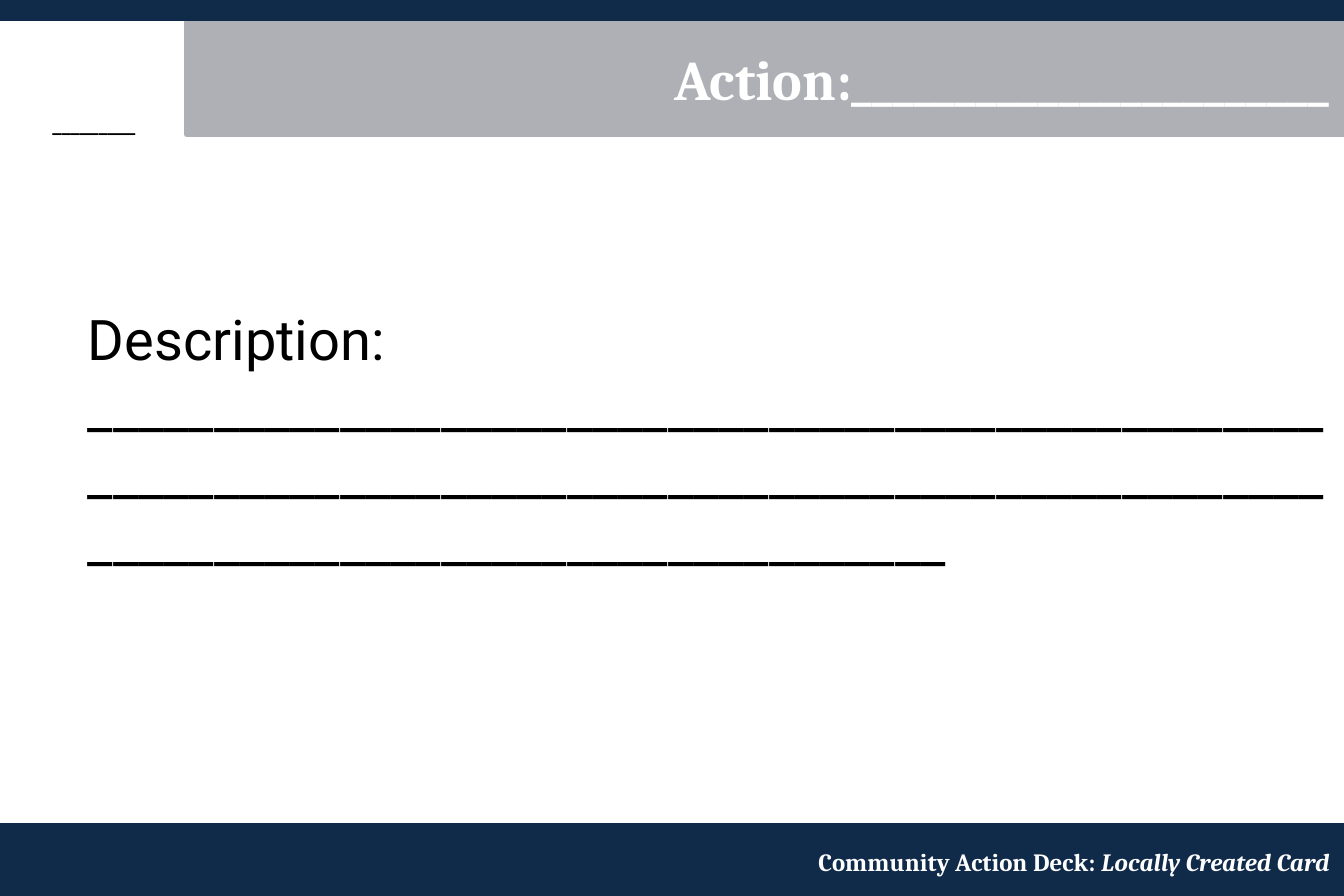
from collections import namedtuple
from dataclasses import dataclass

from lxml.etree import SubElement
from pptx import Presentation
from pptx.dml.color import RGBColor as Rgb
from pptx.enum.shapes import MSO_SHAPE as Preset
from pptx.enum.text import MSO_ANCHOR as Anchor, MSO_AUTO_SIZE as Fit, PP_ALIGN as Align
from pptx.oxml.ns import qn
from pptx.util import Pt

Box = namedtuple("Box", "left top width height")


@dataclass(frozen=True)
class Theme:
    """Colours, fonts and sizes of the card."""

    navy: Rgb = Rgb(0x10, 0x2A, 0x4A)
    grey: Rgb = Rgb(0xAE, 0xB0, 0xB5)
    white: Rgb = Rgb(0xFF, 0xFF, 0xFF)
    black: Rgb = Rgb(0, 0, 0)
    serif: str = "Cambria"
    sans: str = "Roboto"
    large: int = 18
    small: int = 8
    outline: int = 2
    inset_x: float = 4.5
    inset_y: float = 2.25


THEME = Theme()


def assign(target, values):
    """Set each named attribute of target."""
    for name, value in values.items():
        setattr(target, name, value)


def place(part, box):
    """Move a part to a box given in points."""
    assign(part, {name: Pt(value) for name, value in box._asdict().items()})


def paint(part, colour):
    """Give a part one colour for fill and outline."""
    part.fill.solid()
    part.fill.fore_color.rgb = colour
    part.line.color.rgb = colour
    part.line.width = Pt(THEME.outline)


def write(part, runs, align, anchor, size, colour, font, bold=True, fit=Fit.NONE):
    """Write one paragraph of (text, italic) runs."""
    frame = part.text_frame
    assign(frame, {
        "word_wrap": True, "auto_size": fit, "vertical_anchor": anchor,
        "margin_left": Pt(THEME.inset_x), "margin_right": Pt(THEME.inset_x),
        "margin_top": Pt(THEME.inset_y), "margin_bottom": Pt(THEME.inset_y),
    })
    line = frame.paragraphs[0]
    assign(line, {"alignment": align, "space_before": Pt(0)})
    for text, italic in runs:
        run = line.add_run()
        run.text = text
        assign(run.font, {"size": Pt(size), "name": font, "bold": bold, "italic": italic})
        run.font.color.rgb = colour
    return line


def add_band(slide, box):
    """Add a navy band across the card."""
    band = slide.shapes.add_shape(Preset.RECTANGLE, *map(Pt, box))
    band.shadow.inherit = False
    paint(band, THEME.navy)
    return band


def add_header(slide, box):
    """Place the top band, the action title and the short blank beside it."""
    band_height, action_left = 7.2, 60
    action = slide.shapes.title
    place(action, Box(box.left + action_left, box.top + band_height + 1.4,
                      box.width - action_left, 36))
    paint(action, THEME.grey)
    write(action, [("Action:" + "_" * 23, False)], Align.RIGHT, Anchor.MIDDLE,
          THEME.large, THEME.white, THEME.serif)
    add_band(slide, Box(box.left, box.top, box.width, band_height))
    blank = slide.shapes.add_textbox(
        *map(Pt, (box.left - 2.16, box.top + 33.8, 64.8, 13.7)))
    write(blank, [("_" * 9, False)], Align.CENTER, Anchor.TOP, THEME.small,
          THEME.black, THEME.serif, fit=Fit.SHAPE_TO_FIT_TEXT)


def add_description(slide, box):
    """Place the description with its ruled blanks."""
    description = slide.placeholders[1]
    place(description, box)
    line = write(description, [("Description: " + "_" * 132, False)], Align.LEFT,
                 Anchor.TOP, THEME.large, THEME.black, THEME.sans, bold=False)
    properties = line._p.get_or_add_pPr()
    for name in ("marL", "indent"):
        properties.set(name, "0")
    SubElement(properties, qn("a:buNone"))


def add_footer(slide, box):
    """Place the bottom band with the deck name."""
    write(add_band(slide, box),
          [("Community Action Deck: ", False), ("Locally Created Card", True)],
          Align.RIGHT, Anchor.MIDDLE, THEME.small, THEME.white, THEME.serif)


def main():
    """Build and save the action card."""
    deck = Presentation()
    assign(deck, {"slide_width": Pt(432), "slide_height": Pt(288)})
    card = deck.slides.add_slide(deck.slide_layouts[1])
    card.background.fill.solid()
    card.background.fill.fore_color.rgb = THEME.white
    add_footer(card, Box(0, 265.7, 432, 22.3))
    add_header(card, Box(0, -1.4, 432, 46))
    add_description(card, Box(23.76, 95.76, 408.24, 89.28))
    deck.save("out.pptx")


if __name__ == "__main__":
    main()
